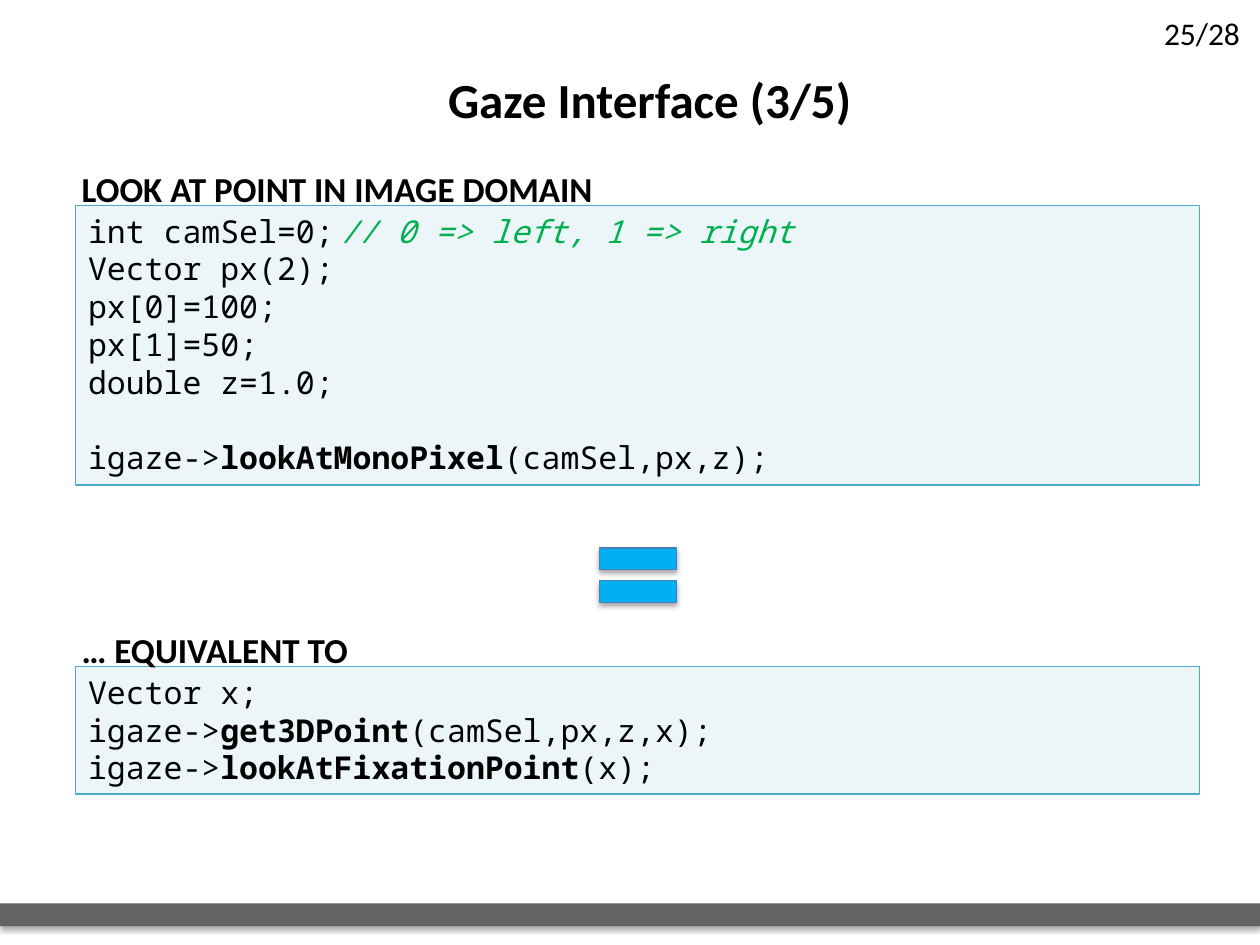
from lxml.etree import SubElement
from pptx import Presentation
from pptx.dml.color import RGBColor
from pptx.enum.shapes import MSO_SHAPE
from pptx.enum.text import MSO_ANCHOR, PP_ALIGN
from pptx.oxml.ns import qn
from pptx.util import Inches, Pt

COLORS = {
    "text": "000000", "comment": "00B050", "footer": "616365",
    "code": "DBEEF4", "code_line": "4BACC6",
    "equal": "00B0F0", "equal_line": "4B7EBC",
}
LEADING = Pt(21.6)
BOLD = {"bold": True}
COMMENT = {"italic": True, "color": "comment"}

# Each code line is a list of (text, format) runs; an empty list is a gap
PIXEL_CODE = [
    [("int camSel=0;\t", {}), ("// 0 => left, 1 => right", COMMENT)],
    [("Vector px(2);", {})],
    [("px[0]=100;", {})],
    [("px[1]=50;", {})],
    [("double z=1.0;", {})],
    [],
    [("igaze->", {}), ("lookAtMonoPixel", BOLD), ("(camSel,px,z);", {})],
]
POINT_CODE = [
    [("Vector x;", {})],
    [("igaze->", {}), ("get3DPoint", BOLD), ("(camSel,px,z,x);", {})],
    [("igaze->", {}), ("lookAtFixationPoint", BOLD), ("(x);", {})],
]


def rgb(name):
    return RGBColor.from_string(COLORS[name])


def add_run(p, text, color="text", **fmt):
    r = p.add_run()
    r.text = text
    r.font.color.rgb = rgb(color)
    for key, value in fmt.items():
        setattr(r.font, key, value)


def add_label(s, box, text, size, align=PP_ALIGN.LEFT, wrap=True, **fmt):
    tf = s.shapes.add_textbox(*map(Inches, box)).text_frame
    tf.word_wrap = wrap
    p = tf.paragraphs[0]
    p.alignment = align
    add_run(p, text, name="Calibri", size=Pt(size), **fmt)


def add_block(s, kind, box, fill, line=None, width=1):
    sp = s.shapes.add_shape(kind, *map(Inches, box))
    sp.shadow.inherit = False
    sp.fill.solid()
    sp.fill.fore_color.rgb = rgb(fill)
    if line:
        sp.line.color.rgb = rgb(line)
        sp.line.width = Pt(width)
    else:
        sp.line.fill.background()
    return sp


def add_shadow(sp):
    effects = sp._element.spPr.find(qn("a:effectLst"))
    shadow = SubElement(effects, qn("a:outerShdw"), blurRad=str(Pt(3.1)),
                        dist=str(Pt(1.8)), dir="5400000", rotWithShape="0")
    color = SubElement(shadow, qn("a:srgbClr"), val="000000")
    SubElement(color, qn("a:alpha"), val="35000")


def add_code(s, box, title, title_width, lines):
    left, top, width, height = box
    sp = add_block(s, MSO_SHAPE.RECTANGLE, box, "code", "code_line")
    fill = sp._element.spPr.find(qn("a:solidFill"))
    SubElement(fill[0], qn("a:alpha"), val="50000")

    tf = sp.text_frame
    tf.word_wrap = True
    tf.vertical_anchor = MSO_ANCHOR.TOP
    p, gap = tf.paragraphs[0], Pt(0)
    for i, runs in enumerate(lines):
        if not runs:
            gap = LEADING
            continue
        if i:
            p = tf.add_paragraph()
        p.alignment = PP_ALIGN.LEFT
        p.line_spacing = LEADING
        p.space_before, gap = gap, Pt(0)
        for text, fmt in runs:
            add_run(p, text, name="Noto Sans Mono", size=Pt(18), **fmt)

    # Heading sits on the top edge of the code box
    add_label(s, (left - 0.05, top - 0.35, title_width, 0.44), title, 20,
              wrap=False, bold=True)


def add_frame(s, width, height):
    # Footer bar, page number and title
    bar = add_block(s, MSO_SHAPE.RECTANGLE, (0, height - 0.33, width, 0.18), "footer")
    add_shadow(bar)
    add_label(s, (width - 0.86, 0.06, 0.9, 0.4), "25/28", 18)
    add_label(s, (1.61, 0.5, 7.09, 0.57), "Gaze Interface (3/5)", 28,
              PP_ALIGN.CENTER, bold=True)


def add_equal_sign(s, box):
    sp = add_block(s, MSO_SHAPE.MATH_EQUAL, box, "equal", "equal_line", 0.75)
    sp.adjustments[0], sp.adjustments[1] = 0.235, 0.118
    add_shadow(sp)


def main():
    prs = Presentation()
    prs.slide_width, prs.slide_height = Inches(10), Inches(7.5)
    s = prs.slides.add_slide(prs.slide_layouts[6])
    add_frame(s, 10, 7.5)
    add_code(s, (0.6, 1.63, 8.92, 2.22), "LOOK AT POINT IN IMAGE DOMAIN", 4.29, PIXEL_CODE)
    add_code(s, (0.6, 5.29, 8.92, 1.01), "… EQUIVALENT TO", 2.33, POINT_CODE)
    add_equal_sign(s, (4.65, 4.2, 0.83, 0.73))
    prs.save("out.pptx")


if __name__ == "__main__":
    main()
